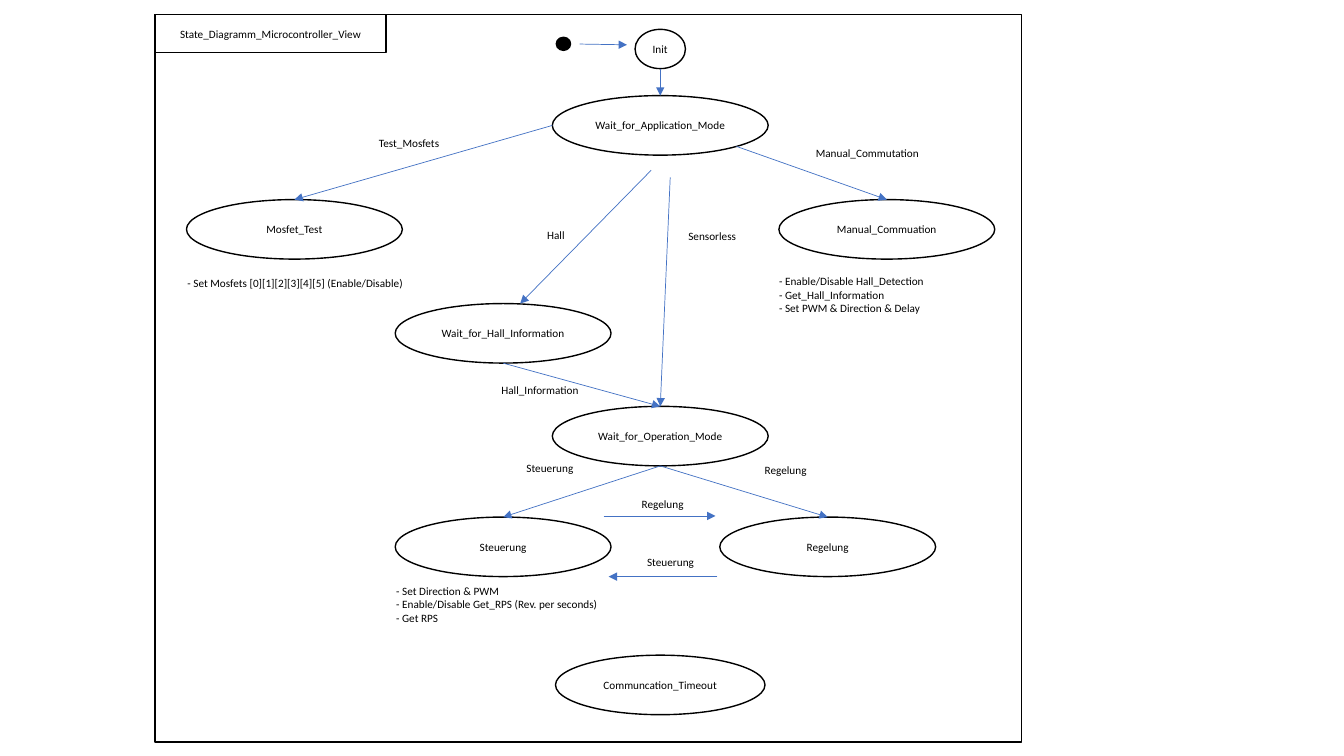
"""Build the microcontroller state diagram slide."""
from dataclasses import dataclass
from math import cos, pi, sin

from lxml.etree import SubElement
from pptx import Presentation
from pptx.dml.color import RGBColor
from pptx.enum.shapes import MSO_CONNECTOR as Connector, MSO_SHAPE as Preset
from pptx.enum.text import MSO_ANCHOR as Anchor, MSO_AUTO_SIZE as AutoSize, PP_ALIGN as Align
from pptx.oxml.ns import qn
from pptx.shapes.autoshape import Shape
from pptx.slide import Slide
from pptx.text.text import TextFrame
from pptx.util import Cm, Pt


@dataclass(frozen=True)
class Theme:
    ink: RGBColor = RGBColor(0, 0, 0)
    arrow: RGBColor = RGBColor(0x44, 0x72, 0xC4)
    font: str = "Calibri"
    text_size: Pt = Pt(8)
    outline: Pt = Pt(1)
    arrow_width: Pt = Pt(0.5)


@dataclass(frozen=True)
class Box:
    left: float
    top: float
    width: float
    height: float


@dataclass(frozen=True)
class Point:
    x: float
    y: float


@dataclass(frozen=True)
class State:
    name: str
    center: float
    top: float
    width: float = 5.44
    height: float = 1.5

    def box(self) -> Box:
        return Box(self.center - self.width / 2, self.top, self.width, self.height)


@dataclass(frozen=True)
class Site:
    state: State
    index: int

    def point(self) -> Point:
        angle = self.index * pi / 4
        return Point(self.state.center - self.state.width / 2 * sin(angle),
                     self.state.top + self.state.height / 2 * (1 - cos(angle)))


@dataclass(frozen=True)
class Transition:
    start: Site | Point
    end: Site | Point
    label: str = ""
    label_center: Point = Point(0, 0)


@dataclass(frozen=True)
class ActionList:
    placeholder: int
    box: Box
    lines: tuple[str, ...]


THEME = Theme()
TOP, LEFT, BOTTOM, BOTTOM_RIGHT = 0, 2, 4, 5
AXIS, HALL_AXIS = 16.64, 12.68
LABEL_WIDTH, LABEL_HEIGHT = 3.2, 0.8

INIT = State("Init", AXIS, 0.74, 1.27, 0.99)
APPLICATION = State("Wait_for_Application_Mode", AXIS, 2.41)
MOSFET = State("Mosfet_Test", 7.42, 5.03)
MANUAL = State("Manual_Commuation", 22.35, 5.03)
HALL = State("Wait_for_Hall_Information", HALL_AXIS, 7.65)
OPERATION = State("Wait_for_Operation_Mode", AXIS, 10.24)
STEUERUNG = State("Steuerung", HALL_AXIS, 13.03)
REGELUNG = State("Regelung", 20.86, 13.03)
TIMEOUT = State("Communcation_Timeout", AXIS, 16.51, 5.28)
STATES = (INIT, APPLICATION, MOSFET, MANUAL, HALL, OPERATION, STEUERUNG, REGELUNG, TIMEOUT)

TRANSITIONS = (
    Transition(Point(14.61, 1.11), Point(15.8, 1.13)),
    Transition(Site(INIT, BOTTOM), Site(APPLICATION, TOP)),
    Transition(Site(APPLICATION, LEFT), Site(MOSFET, TOP), "Test_Mosfets", Point(10.31, 3.6)),
    Transition(Site(APPLICATION, BOTTOM_RIGHT), Site(MANUAL, TOP),
               "Manual_Commutation", Point(21.86, 3.85)),
    Transition(Point(16.41, 4.29), Point(13.11, 7.65), "Hall", Point(14.01, 5.93)),
    Transition(Point(16.89, 4.47), Site(OPERATION, TOP), "Sensorless", Point(17.95, 5.95)),
    Transition(Site(HALL, BOTTOM), Site(OPERATION, TOP), "Hall_Information", Point(13.61, 9.82)),
    Transition(Site(OPERATION, BOTTOM), Site(STEUERUNG, TOP), "Steuerung", Point(13.86, 11.8)),
    Transition(Site(OPERATION, BOTTOM), Site(REGELUNG, TOP), "Regelung", Point(19.8, 11.85)),
    Transition(Point(15.21, 13), Point(18.03, 13), "Regelung", Point(16.7, 12.69)),
    Transition(Point(18.08, 14.53), Point(15.34, 14.53), "Steuerung", Point(16.9, 14.16)),
)

ACTION_LISTS = (
    ActionList(1, Box(4.47, 6.71, 7.32, 0.84),
               ("- Set Mosfets [0][1][2][3][4][5] (Enable/Disable)",)),
    ActionList(2, Box(19.38, 6.68, 5.44, 1.5),
               ("- Enable/Disable Hall_Detection", "- Get_Hall_Information",
                "- Set PWM & Direction & Delay")),
    ActionList(3, Box(9.73, 14.48, 7.32, 1.5),
               ("- Set Direction & PWM", "- Enable/Disable Get_RPS (Rev. per seconds)",
                "- Get RPS")),
)


def lengths(box: Box) -> tuple[Cm, Cm, Cm, Cm]:
    """Convert a box to slide lengths."""
    return Cm(box.left), Cm(box.top), Cm(box.width), Cm(box.height)


def place(shape: Shape, box: Box) -> None:
    """Move and size a placeholder."""
    shape.left, shape.top, shape.width, shape.height = lengths(box)


def write(frame: TextFrame, lines: tuple[str, ...], align: Align = Align.CENTER) -> None:
    """Write plain paragraphs in the diagram's text style."""
    frame.word_wrap = True
    frame.auto_size = AutoSize.NONE
    frame.vertical_anchor = Anchor.MIDDLE
    for number, line in enumerate(lines):
        paragraph = frame.add_paragraph() if number else frame.paragraphs[0]
        paragraph.alignment = align
        paragraph.line_spacing = 1.0
        paragraph.space_before = paragraph.space_after = Pt(0)
        properties = paragraph._p.get_or_add_pPr()
        properties.set("marL", "0")
        properties.set("indent", "0")
        SubElement(properties, qn("a:buNone"))
        run = paragraph.add_run()
        run.text = line
        run.font.name = THEME.font
        run.font.size = THEME.text_size
        run.font.bold = False
        run.font.color.rgb = THEME.ink


def outline(shape: Shape) -> None:
    """Give a shape the diagram's outline."""
    shape.line.color.rgb = THEME.ink
    shape.line.width = THEME.outline


def draw_shape(slide: Slide, preset: Preset, box: Box) -> Shape:
    """Draw an unfilled outlined shape."""
    shape = slide.shapes.add_shape(preset, *lengths(box))
    shape.shadow.inherit = False
    shape.fill.background()
    outline(shape)
    return shape


def draw_transition(slide: Slide, transition: Transition, shapes: dict[State, Shape]) -> None:
    """Draw an arrow, attach it to its states and add its label."""
    ends = (transition.start, transition.end)
    start, end = (item.point() if isinstance(item, Site) else item for item in ends)
    connector = slide.shapes.add_connector(
        Connector.STRAIGHT, Cm(start.x), Cm(start.y), Cm(end.x), Cm(end.y))
    connector.line.color.rgb = THEME.arrow
    connector.line.width = THEME.arrow_width
    SubElement(connector.line._get_or_add_ln(), qn("a:tailEnd"), type="triangle")
    SubElement(connector._element.spPr, qn("a:effectLst"))
    for tag, item in zip(("a:stCxn", "a:endCxn"), ends):
        if isinstance(item, Site):
            SubElement(connector._element.nvCxnSpPr.cNvCxnSpPr, qn(tag),
                       id=str(shapes[item.state].shape_id), idx=str(item.index))
    if transition.label:
        center = transition.label_center
        box = Box(center.x - LABEL_WIDTH / 2, center.y - LABEL_HEIGHT / 2,
                  LABEL_WIDTH, LABEL_HEIGHT)
        write(slide.shapes.add_textbox(*lengths(box)).text_frame, (transition.label,))


def build() -> None:
    """Assemble and save the slide."""
    presentation = Presentation()
    presentation.slide_width, presentation.slide_height = Cm(33.87), Cm(19.05)
    slide = presentation.slides.add_slide(presentation.slide_layouts.get_by_name("Comparison"))
    draw_shape(slide, Preset.RECTANGLE, Box(3.91, 0.36, 21.84, 18.34))
    title = slide.shapes.title
    place(title, Box(3.91, 0.36, 5.82, 0.97))
    outline(title)
    write(title.text_frame, ("State_Diagramm_Microcontroller_View",))
    placeholders = {shape.placeholder_format.idx: shape for shape in slide.placeholders}
    for actions in ACTION_LISTS:
        body = placeholders[actions.placeholder]
        place(body, actions.box)
        write(body.text_frame, actions.lines, Align.LEFT)
    unused = placeholders[4]._element
    unused.getparent().remove(unused)
    dot = draw_shape(slide, Preset.OVAL, Box(14.02, 0.94, 0.36, 0.33))
    dot.fill.solid()
    dot.fill.fore_color.rgb = THEME.ink
    shapes = {state: draw_shape(slide, Preset.OVAL, state.box()) for state in STATES}
    for state, shape in shapes.items():
        write(shape.text_frame, (state.name,))
    for transition in TRANSITIONS:
        draw_transition(slide, transition, shapes)
    presentation.save("out.pptx")


build()
